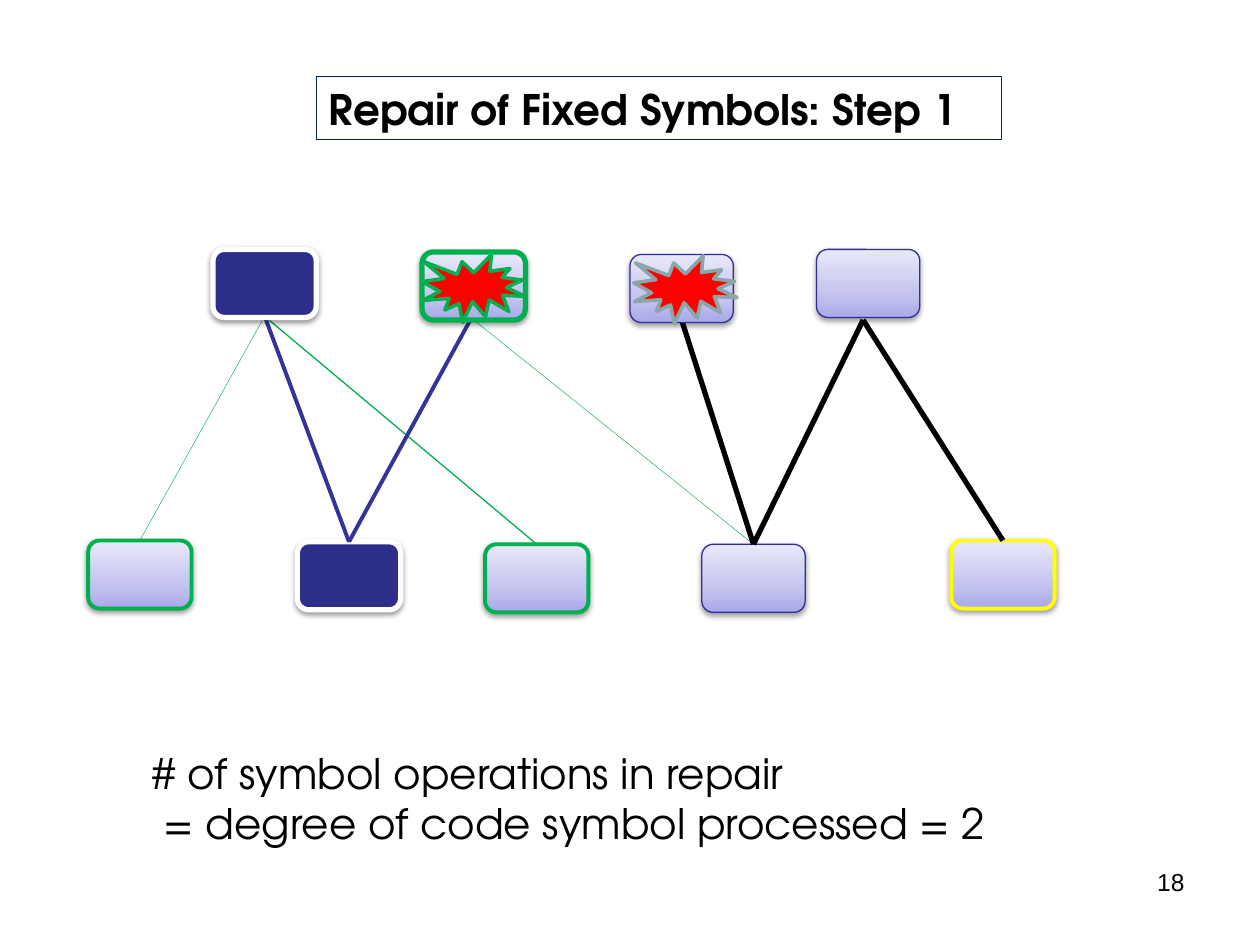
from lxml import etree
from pptx import Presentation
from pptx.dml.color import RGBColor
from pptx.enum.shapes import MSO_CONNECTOR, MSO_SHAPE
from pptx.enum.text import MSO_ANCHOR, MSO_AUTO_SIZE, PP_ALIGN
from pptx.oxml import parse_xml
from pptx.oxml.ns import nsdecls, qn
from pptx.util import Inches, Pt

ROUNDED, BURST = MSO_SHAPE.ROUNDED_RECTANGLE, MSO_SHAPE.EXPLOSION1
STRAIGHT = MSO_CONNECTOR.STRAIGHT
LEFT, RIGHT = PP_ALIGN.LEFT, PP_ALIGN.RIGHT
TOP, MIDDLE = MSO_ANCHOR.TOP, MSO_ANCHOR.MIDDLE
NO_FIT = MSO_AUTO_SIZE.NONE
TITLE_ONLY = 5

GREEN, NAVY, BLUE, BLACK = "00B050", "2D2D8A", "333399", "000000"
WHITE, YELLOW, RED, GREY = "FFFFFF", "FFFF00", "FF0000", "8AA6A8"
EDGE, FRAME = "2F2F98", "002060"
PALE_STOPS = ((0, "A9A9E9"), (35, "C4C4EF"), (100, "E8E8FA"))
NODE_SIZE = (0.82, 0.54)

# left, top, outline colour, outline width, solid fill (None: pale gradient)
CODE_SYMBOLS = [
    (0.70, 4.29, GREEN, 2.25, None),
    (2.36, 4.30, WHITE, 3, NAVY),
    (3.85, 4.32, GREEN, 2.25, None),
    (5.57, 4.32, EDGE, 0.75, None),
    (7.55, 4.29, YELLOW, 2.25, None),
]
SOURCE_SYMBOLS = [
    (1.69, 1.98, WHITE, 3, NAVY),
    (3.35, 2.00, GREEN, 3, None),
    (5.00, 2.02, EDGE, 0.75, None),
    (6.48, 1.98, EDGE, 0.75, None),
]
# start x, start y, code symbol index, colour, width
EDGES = [
    (2.10, 2.51, 0, GREEN, 0.25),
    (2.10, 2.51, 1, BLUE, 2.25),
    (2.10, 2.51, 2, GREEN, 0.75),
    (3.76, 2.49, 1, BLUE, 2.25),
    (3.76, 2.54, 3, GREEN, 0.25),
    (5.41, 2.54, 3, BLACK, 3),
    (6.85, 2.54, 3, BLACK, 3),
    (6.85, 2.54, 4, BLACK, 3),
]
BURSTS = [(3.35, 2.02, GREEN), (5.03, 2.03, GREY)]


def rgb(value):
    return RGBColor.from_string(value)


def write(frame, lines, font="TeX Gyre Adventor", size=24, bold=False,
          color=BLACK, align=LEFT, anchor=TOP):
    frame.word_wrap = True
    frame.auto_size = NO_FIT
    frame.vertical_anchor = anchor
    for index, line in enumerate(lines):
        para = frame.paragraphs[0] if index == 0 else frame.add_paragraph()
        para.alignment = align
        span = para.add_run()
        span.text = line
        span.font.name = font
        span.font.size = Pt(size)
        span.font.bold = bold
        span.font.color.rgb = rgb(color)


class SlideBuilder:
    def __init__(self, deck):
        self.slide = deck.slides.add_slide(deck.slide_layouts[TITLE_ONLY])
        self.shapes = self.slide.shapes

    def outline(self, item, color, width):
        item.line.color.rgb = rgb(color)
        item.line.width = Pt(width)

    def title(self, text, left, top, width, height):
        box = self.shapes.title
        box.left, box.top = Inches(left), Inches(top)
        box.width, box.height = Inches(width), Inches(height)
        self.outline(box, FRAME, 0.75)
        write(box.text_frame, [text], bold=True, anchor=MIDDLE)

    def text(self, lines, left, top, width, height, **style):
        box = self.shapes.add_textbox(
            Inches(left), Inches(top), Inches(width), Inches(height))
        write(box.text_frame, lines, **style)

    def shape(self, kind, left, top, line, width, fill):
        shape = self.shapes.add_shape(
            kind, Inches(left), Inches(top), *map(Inches, NODE_SIZE))
        shape.shadow.inherit = False
        self.outline(shape, line, width)
        if fill:
            shape.fill.solid()
            shape.fill.fore_color.rgb = rgb(fill)
        else:
            self.pale_gradient(shape)
        return shape

    def pale_gradient(self, shape):
        """Fill from dark at the bottom to light at the top."""
        shape.fill.gradient()
        shape.fill.gradient_angle = 90
        stops = next(shape.element.iter(qn("a:gsLst")))
        for stop in list(stops):
            stops.remove(stop)
        for position, color in PALE_STOPS:
            stop = etree.SubElement(stops, qn("a:gs"), pos=str(position * 1000))
            etree.SubElement(stop, qn("a:srgbClr"), val=color)

    def node(self, left, top, line, width, fill):
        shape = self.shape(ROUNDED, left, top, line, width, fill)
        effects = shape.element.spPr.find(qn("a:effectLst"))
        effects.append(parse_xml(
            f'<a:outerShdw {nsdecls("a")} blurRad="40000" dist="20000" '
            'dir="5400000" rotWithShape="0"><a:srgbClr val="000000">'
            '<a:alpha val="38000"/></a:srgbClr></a:outerShdw>'))

    def edge(self, start, end, color, width):
        edge = self.shapes.add_connector(
            STRAIGHT, *map(Inches, start), *map(Inches, end))
        self.outline(edge, color, width)
        etree.SubElement(edge.element.spPr, qn("a:effectLst"))


def main():
    deck = Presentation()
    deck.slide_width, deck.slide_height = Inches(10), Inches(7.5)
    page = SlideBuilder(deck)

    page.text(["18"], 7.17, 6.83, 2.33, 0.52, font="Arial", size=14, align=RIGHT)
    for symbol in CODE_SYMBOLS:
        page.node(*symbol)
    for x, y, target, color, width in EDGES:
        left, top = CODE_SYMBOLS[target][:2]
        page.edge((x, y), (left + NODE_SIZE[0] / 2, top), color, width)
    for symbol in SOURCE_SYMBOLS:
        page.node(*symbol)
    for left, top, line in BURSTS:
        page.shape(BURST, left, top, line, 2, RED)

    page.title("Repair of Fixed Symbols: Step 1", 2.51, 0.61, 5.44, 0.5)
    page.text(["# of symbol operations in repair",
               " = degree of code symbol processed = 2"], 1.11, 5.88, 7.9, 0.91)
    deck.save("out.pptx")


if __name__ == "__main__":
    main()
